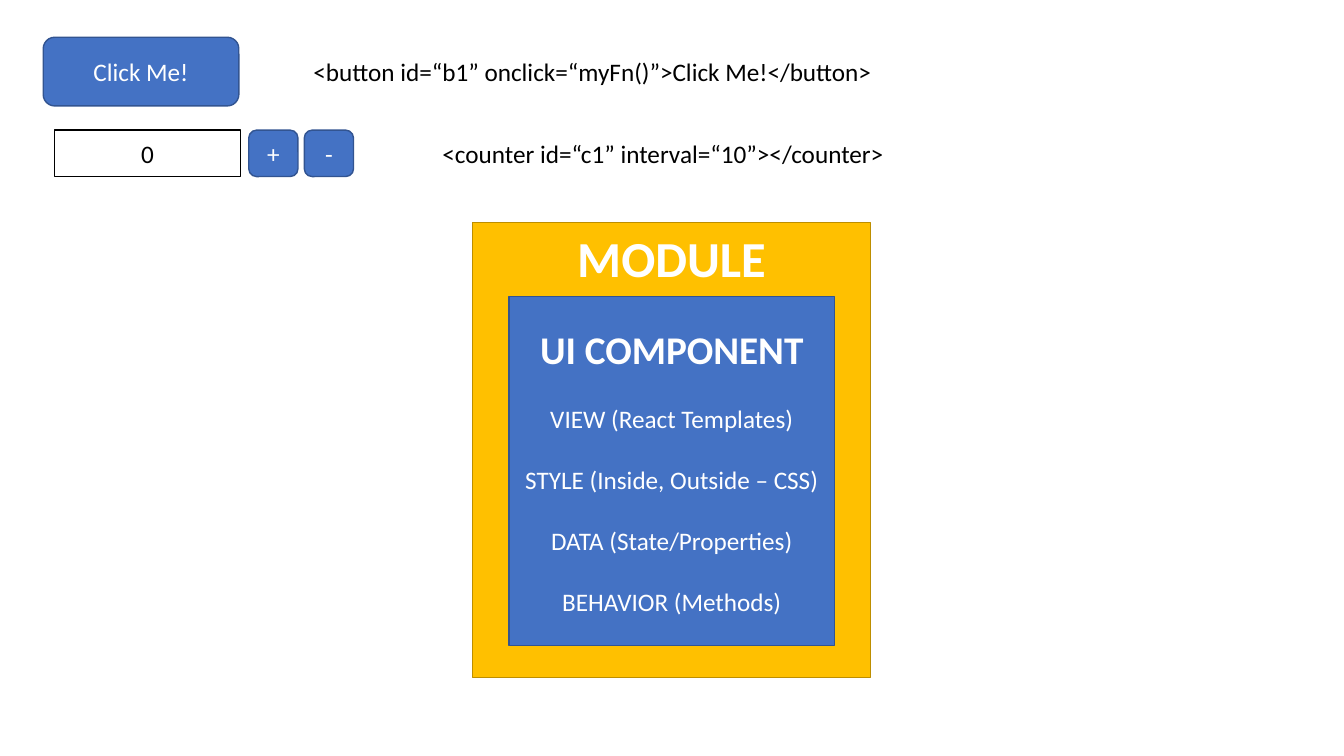
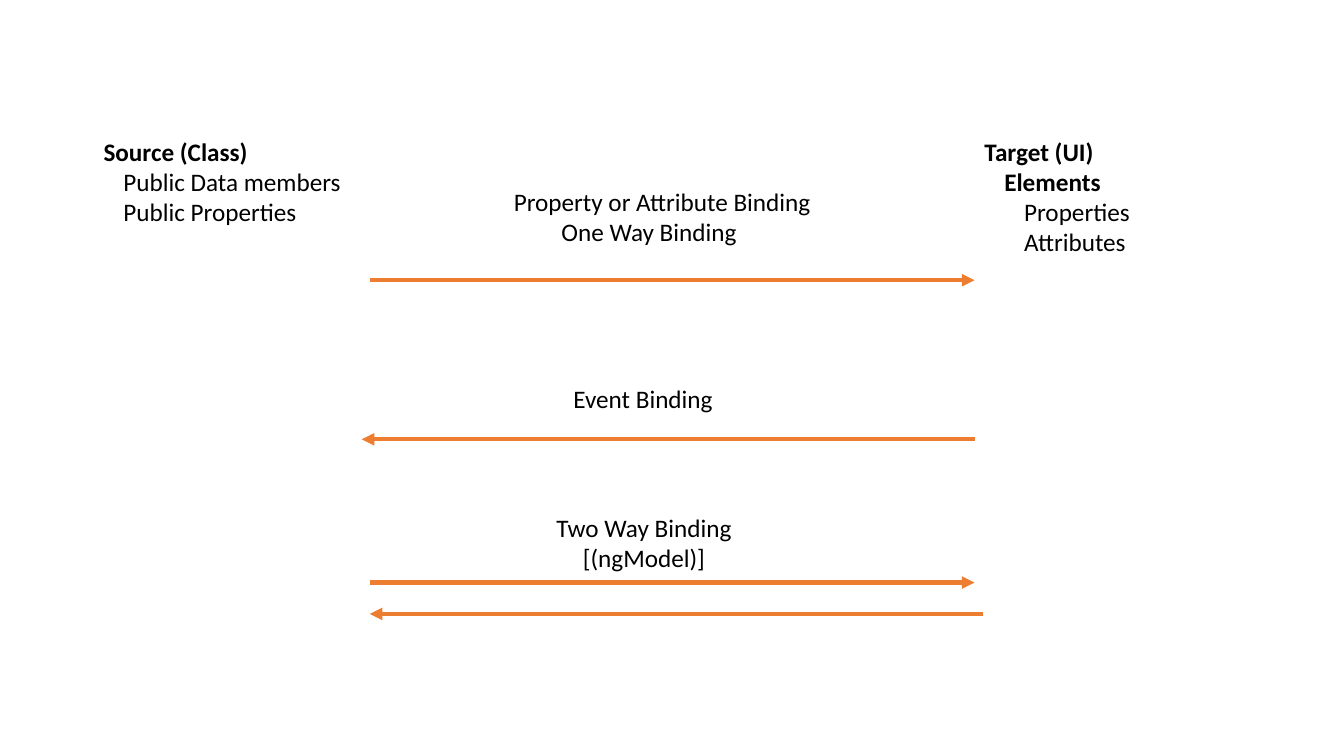
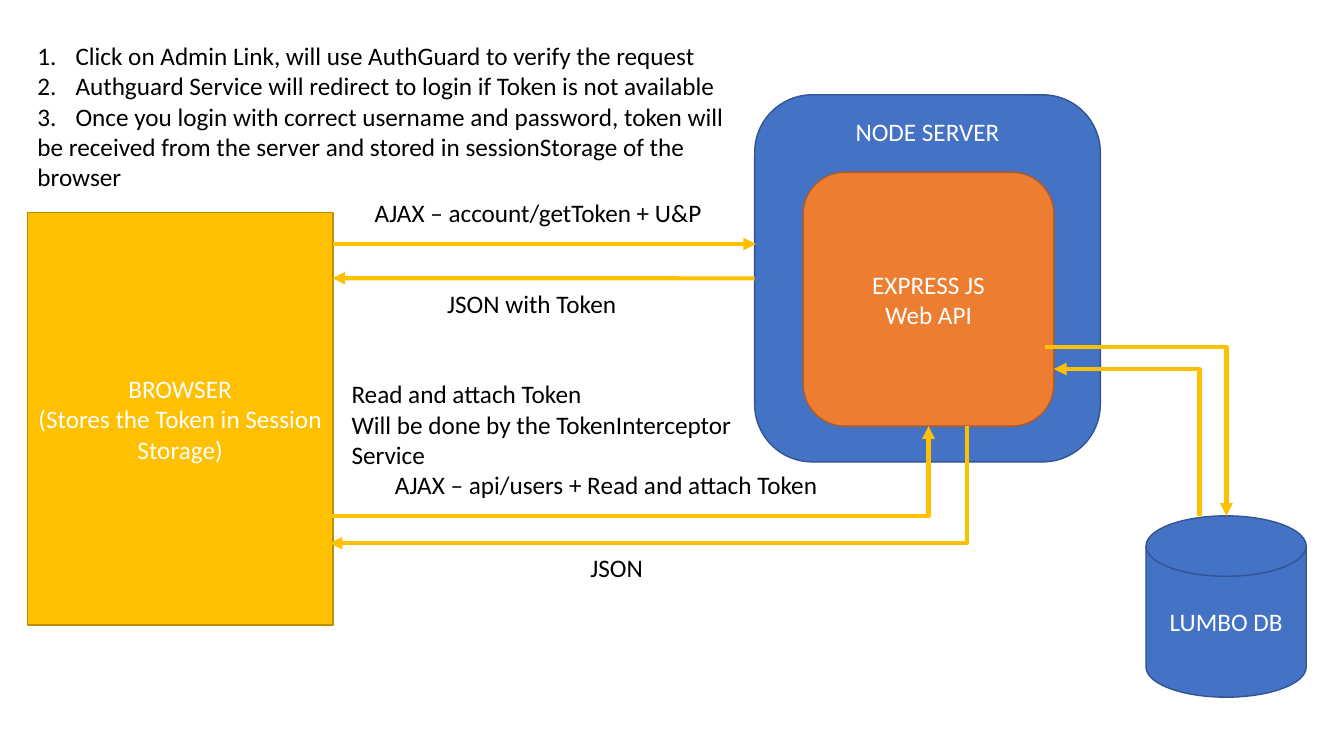
from lxml import etree
from pptx import Presentation
from pptx.dml.color import RGBColor
from pptx.enum.shapes import MSO_CONNECTOR as Link, MSO_SHAPE as Shape
from pptx.enum.text import MSO_ANCHOR as Anchor, MSO_AUTO_SIZE as AutoSize, PP_ALIGN as Align
from pptx.oxml.ns import qn
from pptx.util import Cm, Pt

# Shared look
FONT = "Calibri"
COLOURS = {
    "blue": "4472C4", "blue edge": "325491",
    "gold": "FFC000", "gold edge": "BD8E00",
    "orange": "ED7D31", "orange edge": "AF5C24",
    "white": "FFFFFF", "white edge": "000000",
    "black": "000000",
}
RGB = {name: RGBColor.from_string(value) for name, value in COLOURS.items()}


def add_box(slide, place, text, fill=None, kind=Shape.RECTANGLE, ink="white",
            align=Align.CENTER, anchor=Anchor.MIDDLE, size=18, bold=False):
    """Add a filled shape, or a plain text box when no fill is given."""
    place = [Cm(length) for length in place]
    if fill:
        box = slide.shapes.add_shape(kind, *place)
        box.shadow.inherit = False
        box.fill.solid()
        box.fill.fore_color.rgb = RGB[fill]
        box.line.color.rgb = RGB[fill + " edge"]
        box.line.width = Pt(1)
    else:
        box = slide.shapes.add_textbox(*place)
        ink, anchor = "black", Anchor.TOP
    frame = box.text_frame
    frame.word_wrap = True
    frame.vertical_anchor = anchor
    frame.text = text
    for paragraph in frame.paragraphs:
        paragraph.alignment = align
        for run in paragraph.runs:
            run.font.name, run.font.size, run.font.bold = FONT, Pt(size), bold
            run.font.color.rgb = RGB[ink]
    return box


def add_arrow(slide, start, end, colour, bent=False, tip="tailEnd"):
    """Add an arrow; a bent one runs sideways first, then up or down."""
    ends = [Cm(length) for length in (*start, *end)]
    arrow = slide.shapes.add_connector(Link.ELBOW if bent else Link.STRAIGHT, *ends)
    arrow.line.color.rgb = RGB[colour]
    arrow.line.width = Pt(3)
    properties = arrow.element.spPr
    if bent:
        properties.find(qn("a:prstGeom")).set("prst", "bentConnector2")
    etree.SubElement(properties.find(qn("a:ln")), qn("a:" + tip), type="triangle")
    etree.SubElement(properties, qn("a:effectLst"))
    return arrow


deck = Presentation()
deck.slide_width, deck.slide_height = Cm(33.87), Cm(19.05)
blank, title_and_content = deck.slide_layouts[6], deck.slide_layouts[1]

# Slide 1: elements and the parts of a component
components = deck.slides.add_slide(blank)
add_box(components, (11.91, 5.61, 10.03, 11.46), "MODULE", "gold",
        anchor=Anchor.TOP, size=36, bold=True)
add_box(components, (1.09, 0.94, 4.93, 1.73), "Click Me!", "blue", Shape.ROUNDED_RECTANGLE)
add_box(components, (1.37, 3.28, 4.7, 1.17), "0", "white", ink="black")
for step, sign in enumerate("+-"):
    add_box(components, (6.27 + 1.4 * step, 3.28, 1.24, 1.17), sign, "blue",
            Shape.ROUNDED_RECTANGLE)
for place, markup in [
    ((7.65, 1.3, 14.76, 1.02), "<button id=“b1” onclick=“myFn()”>Click Me!</button>"),
    ((10.9, 3.35, 11.76, 1.02), "<counter id=“c1” interval=“10”></counter>"),
]:
    add_box(components, place, markup, align=Align.LEFT)

component = add_box(
    components, (12.83, 7.47, 8.2, 8.79),
    "UI COMPONENT\nVIEW (React Templates)\nSTYLE (Inside, Outside – CSS)\n"
    "DATA (State/Properties)\nBEHAVIOR (Methods)", "blue")
heading, *aspects = component.text_frame.paragraphs
heading.runs[0].font.size, heading.runs[0].font.bold = Pt(28), True
for aspect in aspects:
    aspect.space_before = Pt(22)

# Slide 2: data binding
binding = deck.slides.add_slide(blank)
# place, text, indent of each line in cm, number of bold lines
for place, text, indents, bold_lines in [
    ((2.36, 3.3, 6.58, 2.57), "Source (Class)\nPublic Data members\nPublic Properties",
     (0, 0.5, 0.5), 1),
    ((24.56, 3.3, 4.22, 3.33), "Target (UI)\nElements\nProperties\nAttributes",
     (0, 0.5, 1, 1), 2),
    ((12.7, 4.57, 8.2, 1.8), "Property or Attribute Binding\nOne Way Binding", (0, 1.2), 0),
    ((14.2, 9.53, 4.2, 1.02), "Event Binding", (0,), 0),
]:
    label = add_box(binding, place, text, align=Align.LEFT)
    for number, (line, indent) in enumerate(zip(label.text_frame.paragraphs, indents)):
        line._p.get_or_add_pPr().set("marL", str(Cm(indent)))
        line.runs[0].font.bold = number < bold_lines
add_box(binding, (13.74, 12.78, 4.98, 1.8), "Two Way Binding\n[(ngModel)]")

for start, end, height in [
    (9.32, 24.56, 7.06), (24.56, 9.12, 11.07), (9.32, 24.56, 14.68), (24.77, 9.32, 15.47),
]:
    add_arrow(binding, (start, height), (end, height), "orange")

# Slide 3: login with a token
login = deck.slides.add_slide(title_and_content)
login.shapes.title.element.getparent().remove(login.shapes.title.element)

# Numbered steps
steps = login.placeholders[1]
steps.left, steps.top, steps.width, steps.height = Cm(0.69), Cm(0.89), Cm(18.14), Cm(4.2)
steps.text_frame.text = (
    "Click on Admin Link, will use AuthGuard to verify the request\n"
    "Authguard Service will redirect to login if Token is not available\n"
    "Once you login with correct username and password, token will\n"
    "be received from the server and stored in sessionStorage of the\n"
    "browser")
steps.text_frame.auto_size = AutoSize.NONE
for number, step in enumerate(steps.text_frame.paragraphs):
    numbered = number < 3
    step.space_before = Pt(0)
    step.runs[0].font.name, step.runs[0].font.size = FONT, Pt(18)
    step.runs[0].font.color.rgb = RGB["black"]
    properties = step._p.get_or_add_pPr()
    hang = Cm(0.96) if numbered else 0
    properties.set("marL", str(hang))
    properties.set("indent", str(-hang))
    if numbered:
        etree.SubElement(properties, qn("a:buFont"), typeface="+mj-lt")
        etree.SubElement(properties, qn("a:buAutoNum"), type="arabicPeriod")
    else:
        etree.SubElement(properties, qn("a:buNone"))

# Browser, server and database
add_box(login, (28.88, 13, 4.04, 4.57), "LUMBO DB", "blue", Shape.FLOWCHART_MAGNETIC_DISK)
server = add_box(login, (19.02, 2.39, 8.71, 9.25), "NODE SERVER", "blue",
                 Shape.ROUNDED_RECTANGLE, anchor=Anchor.TOP)
add_box(login, (20.24, 4.34, 6.32, 6.4), "EXPRESS JS\nWeb API", "orange",
        Shape.ROUNDED_RECTANGLE)
add_box(login, (0.69, 5.36, 7.7, 10.39),
        "BROWSER\n(Stores the Token in Session Storage)", "gold")

# Messages
for place, message in [
    ((9.7, 11.71, 11.4, 1.02), "AJAX – api/users + Read and attach Token"),
    ((8.61, 9.42, 10.21, 2.57),
     "Read and attach Token\nWill be done by the TokenInterceptor\nService"),
    ((14.63, 13.79, 2, 1.02), "JSON"),
    ((9.19, 4.85, 9, 1.02), "AJAX – account/getToken + U&P"),
    ((11.02, 7.14, 5, 1.02), "JSON with Token"),
]:
    add_box(login, place, message, align=Align.LEFT)

# Requests and answers
add_arrow(login, (8.38, 6.15), (19.05, 6.15), "gold")
token_answer = add_arrow(login, (19.02, 7.01), (8.38, 7.01), "gold")
token_answer.begin_connect(server, 1)
for start, end, tip in [
    ((26.34, 8.74), (30.91, 13), "tailEnd"),
    ((26.56, 9.3), (30.23, 13), "headEnd"),
    ((8.31, 13), (23.4, 10.74), "tailEnd"),
    ((8.31, 13.69), (24.38, 10.74), "headEnd"),
]:
    add_arrow(login, start, end, "gold", bent=True, tip=tip)

deck.save("out.pptx")
